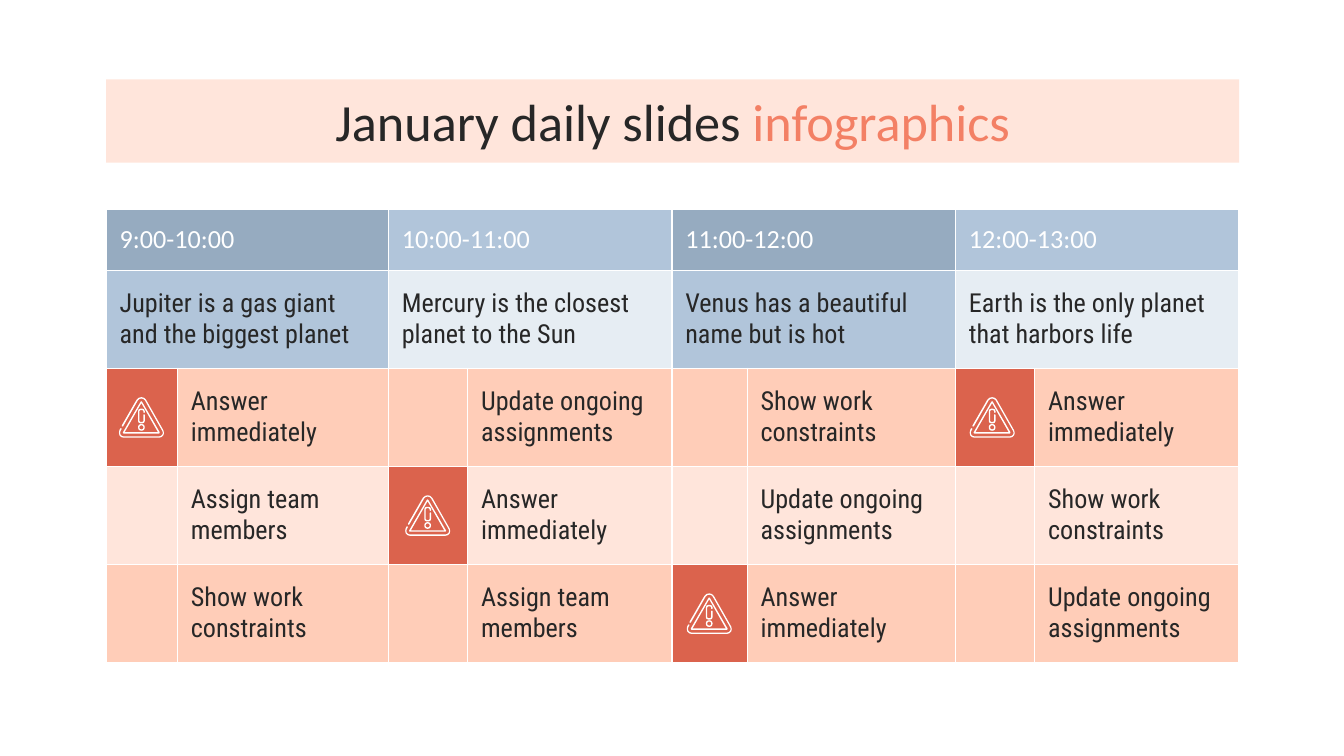
from dataclasses import dataclass
from math import cos, pi, sin

from lxml.etree import SubElement
from pptx import Presentation
from pptx.dml.color import RGBColor
from pptx.enum.shapes import MSO_SHAPE
from pptx.enum.text import MSO_ANCHOR, PP_ALIGN
from pptx.oxml.ns import qn
from pptx.util import Inches, Pt

WHITE = RGBColor(0xFF, 0xFF, 0xFF)
INK = RGBColor(0x27, 0x27, 0x27)
CORAL = RGBColor(0xF3, 0x80, 0x65)
RED = RGBColor(0xDB, 0x63, 0x4D)
PEACH = RGBColor(0xFF, 0xCD, 0xB8)
BLUSH = RGBColor(0xFF, 0xE5, 0xDB)
SLATE = RGBColor(0x96, 0xAB, 0xC0)
BLUE = RGBColor(0xB1, 0xC5, 0xDA)
MIST = RGBColor(0xE6, 0xED, 0xF3)

HEADING_FONT = "Calibri"
BODY_FONT = "Roboto Condensed"
LEFT, TOP, WIDTH = 0.79, 1.56, 8.43
ROW_HEIGHTS = [0.45] + [0.73] * 4
URGENT = "Answer immediately"
UPDATE = "Update ongoing assignments"
SHOW = "Show work constraints"
ASSIGN = "Assign team members"


@dataclass(frozen=True)
class Slot:
    time: str
    topic: str
    tasks: tuple[str, ...]
    marker_width: float
    task_width: float
    sign_shift: float = 0


SLOTS = [
    Slot("9:00-10:00", "Jupiter is a gas giant and the biggest planet",
         (URGENT, ASSIGN, SHOW), 0.53, 1.57),
    Slot("10:00-11:00", "Mercury is the closest planet to the Sun",
         (UPDATE, URGENT, ASSIGN), 0.59, 1.52),
    Slot("11:00-12:00", "Venus has a beautiful name but is hot",
         (SHOW, UPDATE, URGENT), 0.56, 1.55),
    Slot("12:00-13:00", "Earth is the only planet that harbors life",
         (URGENT, SHOW, UPDATE), 0.59, 1.52, -0.02),
]

Contour = list[tuple[float, float]]
SIGN_UNITS_PER_INCH = 1000
SIGN_WIDTH, SIGN_HEIGHT = 0.34, 0.30


def circle(x: float, y: float, radius: float, steps: int = 24) -> Contour:
    angles = [2 * pi * step / steps for step in range(steps)]
    return [(x + radius * cos(angle), y + radius * sin(angle)) for angle in angles]


SIGN_FRAME = [
    (167, 0), (147, 5), (131, 20), (21, 211), (22, 220), (31, 217), (141, 24),
    (152, 14), (167, 10), (182, 14), (193, 24), (323, 252), (327, 266), (323, 279),
    (313, 288), (299, 292), (35, 292), (22, 288), (12, 279), (9, 266), (12, 252),
    (20, 238), (18, 231), (10, 233), (3, 247), (0, 266), (4, 284), (17, 297),
    (35, 302), (299, 302), (318, 297), (331, 284), (335, 266), (331, 247),
    (202, 20), (187, 5),
]
SIGN_TRIANGLE = [(167, 31), (172, 34), (304, 262), (304, 268), (299, 271),
                 (35, 271), (30, 268), (30, 262), (162, 34)]
SIGN_HOLE = [(167, 45), (291, 261), (43, 261)]
SIGN_STROKE = [
    (160, 86), (147, 91), (142, 104), (142, 178), (147, 190), (160, 195),
    (174, 195), (187, 190), (192, 178), (192, 132), (187, 127), (182, 132),
    (182, 178), (174, 185), (160, 185), (152, 178), (152, 104), (160, 96),
    (174, 96), (182, 104), (182, 113), (187, 118), (192, 113), (192, 104),
    (187, 91), (174, 86),
]
SIGN_PARTS = [
    [SIGN_FRAME],
    [SIGN_HOLE, SIGN_TRIANGLE],
    [circle(167, 225, 15), circle(167, 225, 25)],
    [SIGN_STROKE],
]


def write(paragraph, text: str, *, font: str = BODY_FONT, size: float = 14,
          color: RGBColor = INK) -> None:
    run = paragraph.add_run()
    run.text = text
    run.font.name = font
    run.font.size = Pt(size)
    run.font.bold = False
    run.font.color.rgb = color


def set_insets(frame) -> None:
    frame.margin_left = frame.margin_right = Inches(0.1)
    frame.margin_top = frame.margin_bottom = Inches(0.1)
    frame.vertical_anchor = MSO_ANCHOR.MIDDLE


def paint_cell(cell, fill: RGBColor) -> None:
    properties = cell._tc.get_or_add_tcPr()
    for edge in ("a:lnL", "a:lnR", "a:lnT", "a:lnB"):
        line = SubElement(properties, qn(edge), w=str(Pt(0.75)))
        solid = SubElement(line, qn("a:solidFill"))
        SubElement(solid, qn("a:srgbClr"), val=str(WHITE))
    cell.fill.solid()
    cell.fill.fore_color.rgb = fill
    set_insets(cell)


def draw_title(slide) -> None:
    banner = slide.shapes.add_shape(MSO_SHAPE.RECTANGLE, Inches(LEFT), Inches(0.59),
                                    Inches(WIDTH), Inches(0.62))
    banner.shadow.inherit = False
    banner.fill.solid()
    banner.fill.fore_color.rgb = BLUSH
    banner.line.fill.background()
    banner.text_frame.word_wrap = True
    set_insets(banner.text_frame)
    heading = banner.text_frame.paragraphs[0]
    heading.alignment = PP_ALIGN.CENTER
    write(heading, "January daily slides ", font=HEADING_FONT, size=28)
    write(heading, "infographics", font=HEADING_FONT, size=28, color=CORAL)


def draw_sign(slide, center_x: float, center_y: float) -> None:
    sign = slide.shapes.add_group_shape()
    scale = Inches(1) / SIGN_UNITS_PER_INCH
    for first, *others in SIGN_PARTS:
        builder = sign.shapes.build_freeform(*first[0], scale=scale)
        builder.add_line_segments(first[1:], close=True)
        for contour in others:
            builder.move_to(*contour[0])
            builder.add_line_segments(contour[1:], close=True)
        part = builder.convert_to_shape(Inches(center_x - SIGN_WIDTH / 2),
                                        Inches(center_y - SIGN_HEIGHT / 2))
        part.shadow.inherit = False
        part.fill.solid()
        part.fill.fore_color.rgb = WHITE
        part.line.fill.background()


def draw_schedule(slide) -> None:
    widths = [width for slot in SLOTS for width in (slot.marker_width, slot.task_width)]
    schedule = slide.shapes.add_table(
        len(ROW_HEIGHTS), len(widths), Inches(LEFT), Inches(TOP),
        Inches(WIDTH), Inches(sum(ROW_HEIGHTS))).table
    schedule.first_row = schedule.horz_banding = False
    for column, width in zip(schedule.columns, widths):
        column.width = Inches(width)
    for row, height in zip(schedule.rows, ROW_HEIGHTS):
        row.height = Inches(height)

    for index, slot in enumerate(SLOTS):
        marker_column, task_column = 2 * index, 2 * index + 1
        time_fill, topic_fill = (BLUE, MIST) if index % 2 else (SLATE, BLUE)
        for row, fill in enumerate((time_fill, topic_fill)):
            schedule.cell(row, marker_column).merge(schedule.cell(row, task_column))
            for column in (marker_column, task_column):
                paint_cell(schedule.cell(row, column), fill)
        write(schedule.cell(0, marker_column).text_frame.paragraphs[0], slot.time,
              font=HEADING_FONT, color=WHITE)
        write(schedule.cell(1, marker_column).text_frame.paragraphs[0], slot.topic)

        for row, task in enumerate(slot.tasks, start=2):
            fill = BLUSH if row % 2 else PEACH
            paint_cell(schedule.cell(row, marker_column), RED if task == URGENT else fill)
            paint_cell(schedule.cell(row, task_column), fill)
            write(schedule.cell(row, task_column).text_frame.paragraphs[0], task)
            if task == URGENT:
                center_x = LEFT + sum(widths[:marker_column]) + slot.marker_width / 2
                center_y = TOP + sum(ROW_HEIGHTS[:row]) + ROW_HEIGHTS[row] / 2
                draw_sign(slide, center_x + slot.sign_shift, center_y)


def main() -> None:
    presentation = Presentation()
    presentation.slide_width = Inches(10)
    presentation.slide_height = Inches(10 * 9 / 16)
    slide = presentation.slides.add_slide(presentation.slide_layouts[6])
    draw_title(slide)
    draw_schedule(slide)
    presentation.save("out.pptx")


if __name__ == "__main__":
    main()
